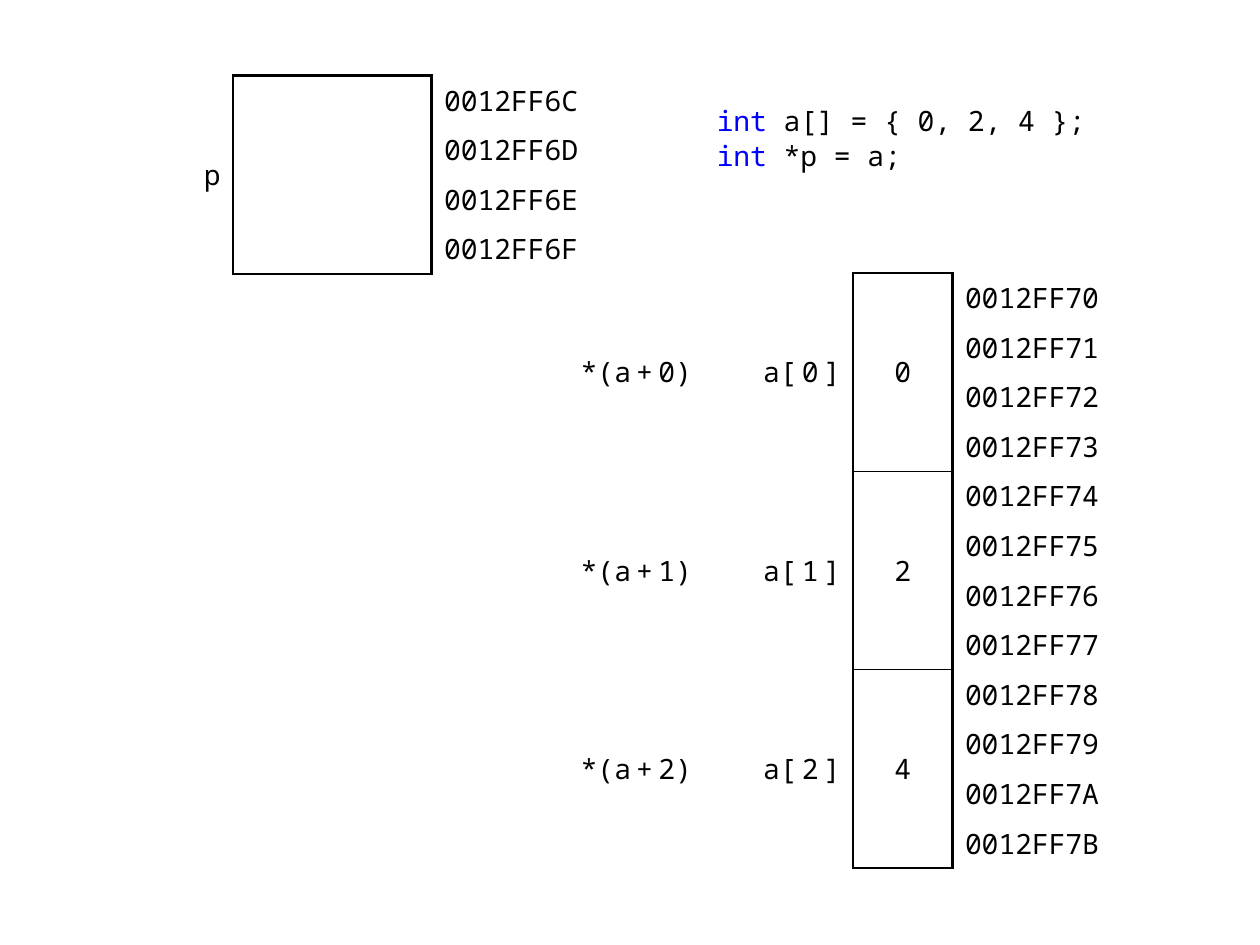
from lxml.etree import SubElement
from pptx import Presentation
from pptx.dml.color import RGBColor
from pptx.enum.text import MSO_ANCHOR as ANCHOR, PP_ALIGN as ALIGN
from pptx.oxml.ns import qn
from pptx.util import Cm, Pt

FONT, BLACK, BLUE = "Noto Sans Mono", "000000", "0000FF"
NO_STYLE = "{2D5ABB26-0587-4C30-8999-92F81FD0307C}"
WORD = 4


def color(font, value):
    """Colour a font with a hex string."""
    font.color.rgb = RGBColor.from_string(value)


def style(p, align=ALIGN.LEFT):
    """Give a paragraph the common monospaced look."""
    p.alignment = align
    p.font.name = FONT
    p.font.size = Pt(16)
    color(p.font, BLACK)


def add_run(p, text, spacing=0):
    """Append a run with letter spacing in points."""
    r = p.add_run()
    r.text = text
    if spacing:
        r._r.get_or_add_rPr().set("spc", str(spacing * 100))
    return r


def add_borders(cell, widths):
    """Draw cell borders from a dict of side letters to point widths."""
    tc_pr = cell._tc.get_or_add_tcPr()
    for side in "LRTB":
        if side in widths:
            ln = SubElement(tc_pr, qn(f"a:ln{side}"), w=str(Pt(widths[side])))
            fill = SubElement(ln, qn("a:solidFill"))
            SubElement(fill, qn("a:srgbClr"), val=BLACK)


def add_grid(slide, left, top, widths, rows):
    """Add an unstyled table with rows one centimetre high."""
    frame = slide.shapes.add_table(rows, len(widths), Cm(left), Cm(top),
                                   Cm(sum(widths)), Cm(rows))
    for style_id in frame.element.iter("{*}tableStyleId"):
        style_id.text = NO_STYLE
    table = frame.table
    table.first_row = table.horz_banding = False
    for col, width in zip(table.columns, widths):
        col.width = Cm(width)
    for cell in table.iter_cells():
        cell.margin_top = cell.margin_bottom = Cm(0.05)
        cell.vertical_anchor = ANCHOR.MIDDLE
    return table


def merge_down(table, row, col, count):
    """Merge cells downwards and return the first one."""
    cell = table.cell(row, col)
    cell.merge(table.cell(row + count - 1, col))
    return cell


def write(cell, align, *runs):
    """Write (text, spacing) runs into a cell."""
    p = cell.text_frame.paragraphs[0]
    style(p, align)
    for text, spacing in runs:
        add_run(p, text, spacing)


def write_addresses(table, col, start):
    """Number the bytes of a column upwards from a start address."""
    for row in range(len(table.rows)):
        write(table.cell(row, col), ALIGN.LEFT, (f"{start + row:08X}", 0))


def add_pointer(slide, left, top):
    """Add the memory box of the pointer p."""
    table = add_grid(slide, left, top, [2, 4, 3.5], WORD)
    name = merge_down(table, 0, 0, WORD)
    write(name, ALIGN.RIGHT, ("p", 0))
    add_borders(name, {"R": 1.5})
    add_borders(merge_down(table, 0, 1, WORD), dict.fromkeys("LRTB", 1.5))
    write_addresses(table, 2, 0x0012FF6C)


def add_array(slide, left, top, values):
    """Add the memory boxes of the array a with its index notations."""
    rows = WORD * len(values)
    table = add_grid(slide, left, top, [4.5, 4, 3.5, 3, 2, 4], rows)
    for row in range(1, rows - 1, 2):
        for col in range(4):
            merge_down(table, row, col, 2)
    for row in [0, *range(1, rows, 2)]:
        add_borders(table.cell(row, 3), {"R": 1.5})
    for i, value in enumerate(values):
        row = WORD * i
        write(table.cell(row + 1, 2), ALIGN.RIGHT, ("*(", 0), ("a+", 3), (f"{i})", 0))
        write(table.cell(row + 1, 3), ALIGN.RIGHT, ("a", 0), (f"[{i}", 3), ("]", 0))
        box = merge_down(table, row, 4, WORD)
        write(box, ALIGN.CENTER, (str(value), 0))
        add_borders(box, {"L": 1.5, "R": 1.5, "T": 1 if i else 1.5,
                          "B": 1 if i < len(values) - 1 else 1.5})
    for row in range(rows):
        add_borders(table.cell(row, 5), {"L": 1.5})
    write_addresses(table, 5, 0x0012FF70)


def add_code(slide, left, top, width, height, lines):
    """Add declarations whose type keyword is blue."""
    tf = slide.shapes.add_textbox(Cm(left), Cm(top), Cm(width), Cm(height)).text_frame
    tf.word_wrap = True
    for i, (keyword, rest) in enumerate(lines):
        p = tf.add_paragraph() if i else tf.paragraphs[0]
        style(p)
        p.line_spacing = 0.9
        p.space_before = Pt(3 if i else 0)
        color(add_run(p, keyword).font, BLUE)
        add_run(p, rest)


def main():
    """Build the slide."""
    prs = Presentation()
    prs.slide_width, prs.slide_height = Cm(25.4), Cm(19.05)
    slide = prs.slides.add_slide(prs.slide_layouts[6])
    add_code(slide, 14.2, 2.03, 9, 2,
             [("int", " a[] = { 0, 2, 4 };"), ("int", " *p = a;")])
    add_array(slide, 2.2, 5.5, [0, 2, 4])
    add_pointer(slide, 2.7, 1.52)
    prs.save("out.pptx")


if __name__ == "__main__":
    main()
